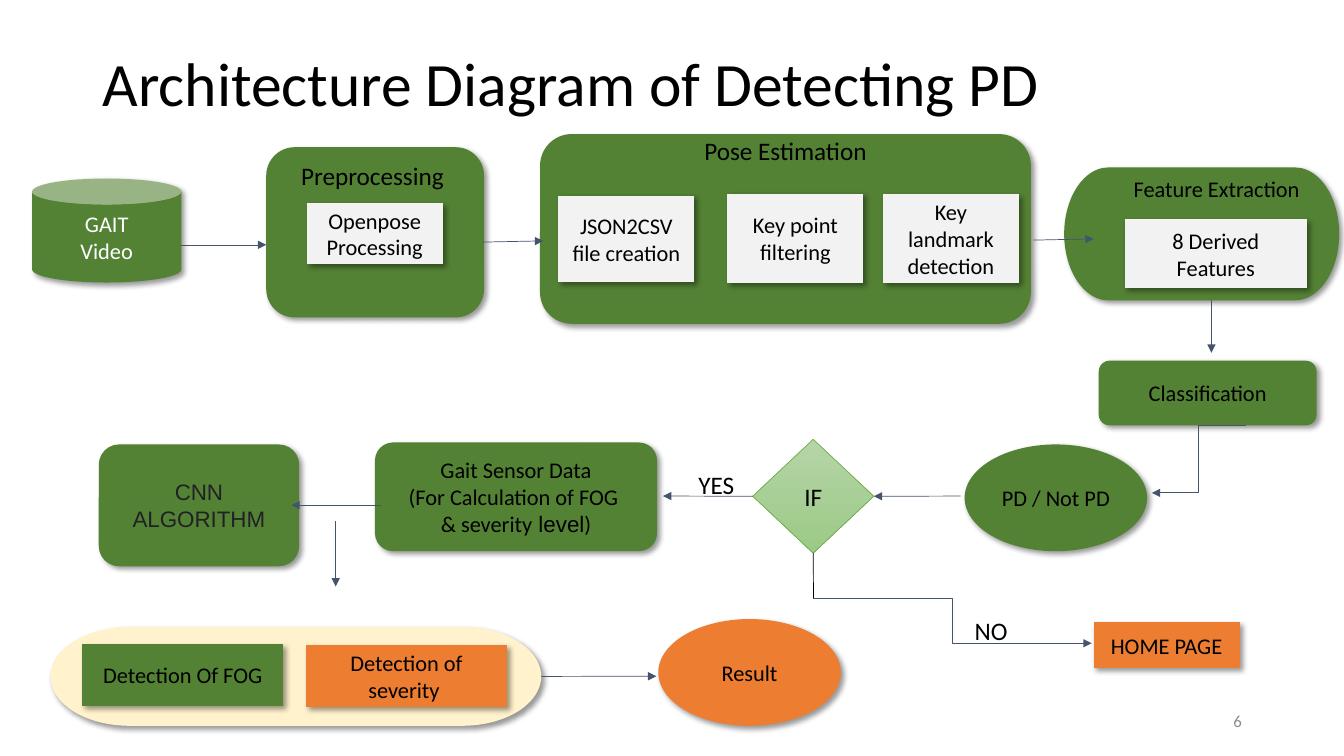
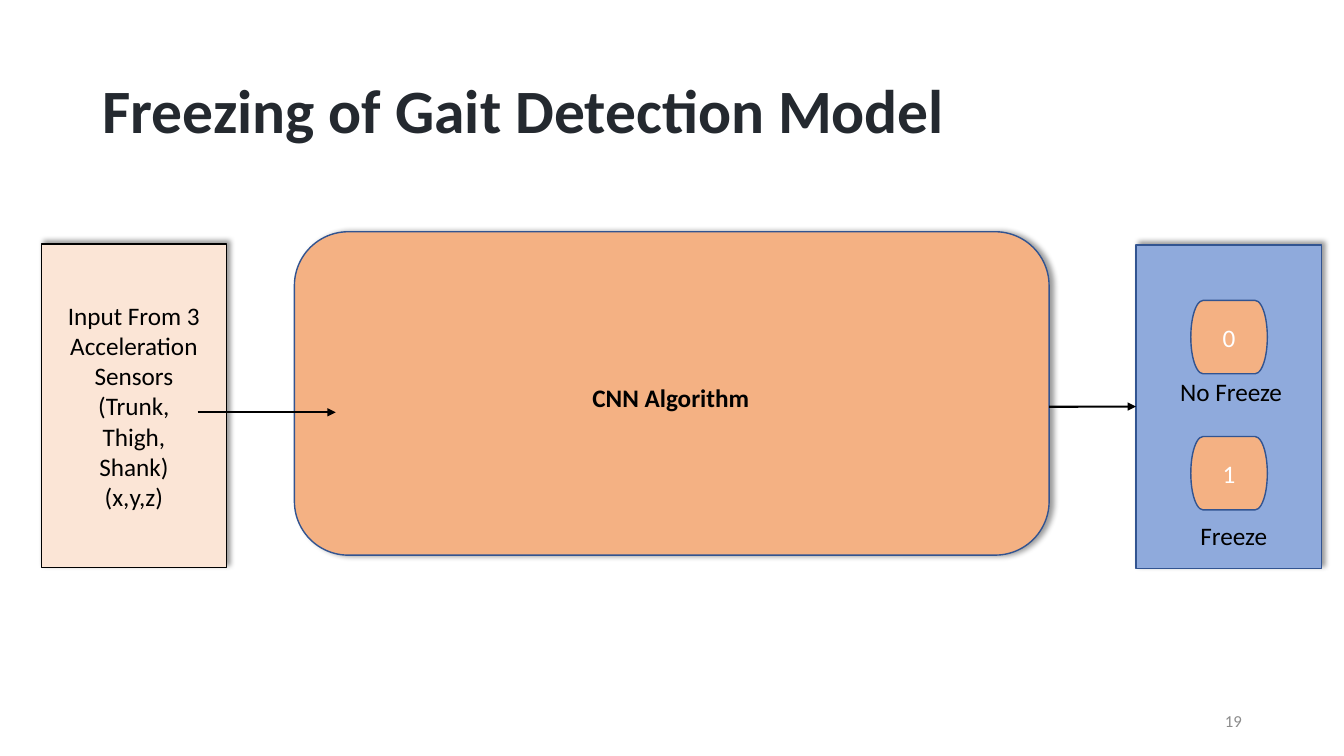
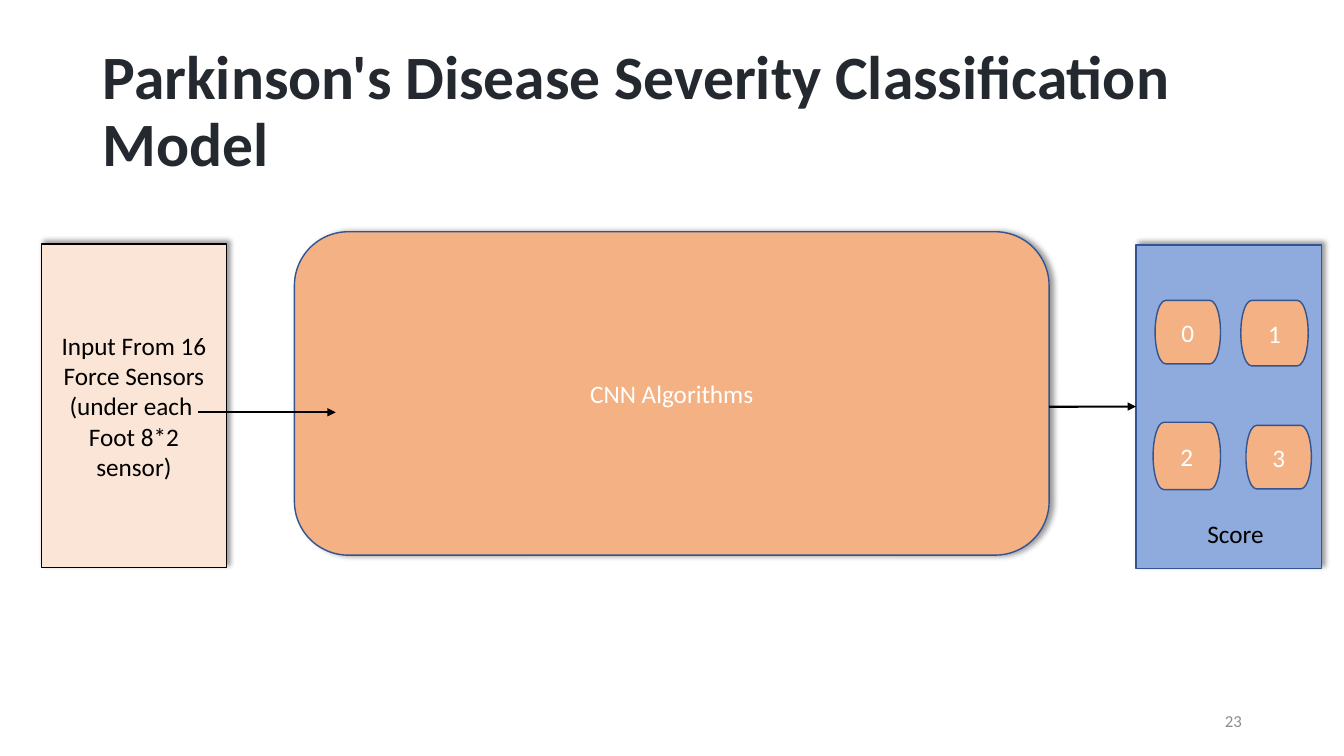
from lxml.etree import SubElement
from pptx import Presentation
from pptx.dml.color import RGBColor
from pptx.enum.shapes import MSO_CONNECTOR, MSO_SHAPE
from pptx.enum.text import MSO_ANCHOR, MSO_AUTO_SIZE, PP_ALIGN
from pptx.oxml.ns import qn
from pptx.util import Cm, Pt

COLORS = {
    "black": "000000", "white": "FFFFFF", "heading": "24292F", "number": "8C8C8C",
    "green": "548235", "card": "F2F2F2", "orange": "ED7D31", "cream": "FFF2CC",
    "arrow": "44546A", "cnn": "202124", "decision": "70AD47",
    "decision_top": "B5D5A7", "decision_bottom": "9CC987",
    "peach": "FBE5D6", "apricot": "F4B183", "blue": "8FAADC", "navy": "325491",
}
BODY = {"name": "Calibri", "size": Pt(16), "bold": False}
LARGE = {**BODY, "size": Pt(18)}
STRONG = {**LARGE, "bold": True}
ARIAL = {**BODY, "name": "Arial"}
NUMBER = {**BODY, "size": Pt(12)}
TITLE = {**BODY, "size": Pt(44)}
BOLD_TITLE = {**TITLE, "bold": True}
TITLE_PARAGRAPH = {"alignment": PP_ALIGN.LEFT, "line_spacing": 0.9}
TITLE_FRAME = {
    "auto_size": MSO_AUTO_SIZE.NONE, "vertical_anchor": MSO_ANCHOR.MIDDLE, "word_wrap": True,
}
TITLE_BOX = (2.33, 1.01, 29.21, 3.68)
NUMBER_BOX = (23.93, 17.65, 7.62, 1.02)
LABEL_HEIGHT = 1.02


def color(name):
    return RGBColor.from_string(COLORS[name])


def apply_format(target, values):
    for name, value in values.items():
        setattr(target, name, value)


def inside(box, part):
    return (box[0] + part[0], box[1] + part[1], *part[2:])


def lengths(values):
    return [Cm(value) for value in values]


def format_run(run, font, ink):
    apply_format(run.font, font)
    run.font.color.rgb = color(ink)


def write(shape, text, font, ink, paragraph_format):
    shape.text_frame.text = text
    for paragraph in shape.text_frame.paragraphs:
        apply_format(paragraph, paragraph_format)
        for run in paragraph.runs:
            format_run(run, font, ink)


def add_shadow(shape, angle):
    effects = shape.element.spPr.find(qn("a:effectLst"))
    shadow = SubElement(effects, qn("a:outerShdw"), blurRad=str(Pt(4)), dist=str(Pt(3)),
                        dir=str(angle * 60000), algn="ctr", rotWithShape="0")
    black = SubElement(shadow, qn("a:srgbClr"), val=COLORS["black"])
    SubElement(black, qn("a:alpha"), val="40000")


def add_block(slide, kind, box, fill, text="", font=BODY, ink="black", line=None,
              line_width=1, shadow=45):
    shape = slide.shapes.add_shape(kind, *lengths(box))
    shape.shadow.inherit = False
    shape.fill.solid()
    shape.fill.fore_color.rgb = color(fill)
    if line:
        shape.line.color.rgb = color(line)
        shape.line.width = Pt(line_width)
    else:
        shape.line.fill.background()
    if shadow is not None:
        add_shadow(shape, shadow)
    if text:
        write(shape, text, font, ink, {"alignment": PP_ALIGN.CENTER})
    return shape


def add_label(slide, box, text, font=LARGE, ink="black", align=PP_ALIGN.LEFT):
    label = slide.shapes.add_textbox(*lengths(box))
    label.text_frame.word_wrap = True
    write(label, text, font, ink, {"alignment": align})
    return label


def add_line(slide, points, ink="arrow", width=0.5, kind=MSO_CONNECTOR.STRAIGHT,
             arrow=True, begin=None, end=None):
    connector = slide.shapes.add_connector(kind, *lengths(points))
    if begin:
        connector.begin_connect(*begin)
    if end:
        connector.end_connect(*end)
    connector.line.color.rgb = color(ink)
    connector.line.width = Pt(width)
    if arrow:
        SubElement(connector.line._get_or_add_ln(), qn("a:tailEnd"), type="triangle")
    SubElement(connector.element.spPr, qn("a:effectLst"))


def add_slide(presentation, title, number, font=BOLD_TITLE, ink="heading", top=TITLE_BOX[1]):
    slide = presentation.slides.add_slide(presentation.slide_layouts[5])
    heading = slide.shapes.title
    box = (TITLE_BOX[0], top, *TITLE_BOX[2:])
    apply_format(heading, dict(zip(("left", "top", "width", "height"), lengths(box))))
    apply_format(heading.text_frame, TITLE_FRAME)
    write(heading, title, font, ink, TITLE_PARAGRAPH)
    footer = add_label(slide, NUMBER_BOX, number, NUMBER, "number", PP_ALIGN.RIGHT)
    footer.text_frame.vertical_anchor = MSO_ANCHOR.MIDDLE
    return slide


def add_stage(slide, kind, box, cards, fill="green", caption=None):
    stage = add_block(slide, kind, box, fill)
    if caption:
        text, left, top, width, font = caption
        add_label(slide, inside(box, (left, top, width, LABEL_HEIGHT)), text, font)
    for text, card_fill, part in cards:
        add_block(slide, MSO_SHAPE.FLOWCHART_PROCESS, inside(box, part), card_fill, text)
    return stage


def add_decision(slide, box):
    decision = add_block(slide, MSO_SHAPE.FLOWCHART_DECISION, box, "decision", "IF", LARGE,
                         line="decision", line_width=0.5, shadow=None)
    decision.fill.gradient()
    decision.fill.gradient_angle = 270
    for stop, name in zip(decision.fill.gradient_stops, ("decision_top", "decision_bottom")):
        stop.color.rgb = color(name)
    return decision


def add_sensor_data(slide, box):
    sensor = add_block(slide, MSO_SHAPE.ROUNDED_RECTANGLE, box, "green",
                       "Gait Sensor Data\n(For Calculation of FOG \n& severity")
    for text, font in ((" level", ARIAL), (")", BODY)):
        run = sensor.text_frame.paragraphs[-1].add_run()
        run.text = text
        format_run(run, font, "black")


def add_preparation_row(slide):
    rounded = MSO_SHAPE.ROUNDED_RECTANGLE
    add_block(slide, MSO_SHAPE.CAN, (0.81, 4.5, 3.76, 2.62), "green", "GAIT\nVideo", ink="white")
    add_stage(slide, rounded, (6.71, 3.71, 5.49, 4.29),
              [("Openpose\nProcessing", "card", (1.02, 1.4, 3.43, 1.55))],
              caption=("Preprocessing", 0.63, 0.2, 4.22, LARGE))
    add_stage(slide, rounded, (13.61, 3.38, 12.37, 4.78),
              [("JSON2CSV file creation", "card", (0.46, 1.55, 3.43, 2.18)),
               ("Key point filtering", "card", (4.72, 1.5, 3.43, 2.24)),
               ("Key landmark detection", "card", (8.64, 1.52, 3.43, 2.24))],
              caption=("Pose Estimation", 3.89, -0.1, 4.8, LARGE))
    add_stage(slide, MSO_SHAPE.FLOWCHART_TERMINATOR, (26.82, 4.22, 6.93, 3.35),
              [("8 Derived\nFeatures", "card", (1.52, 1.3, 4.6, 1.75))],
              caption=("Feature Extraction", 1.5, 0.08, 4.9, BODY))
    for points in ((4.55, 6.17, 6.71, 6.17), (12.17, 6.1, 13.69, 6.07),
                   (26.04, 6.05, 27.56, 6.02), (30.53, 7.57, 30.53, 8.89)):
        add_line(slide, points)


def add_decision_row(slide):
    rounded = MSO_SHAPE.ROUNDED_RECTANGLE
    add_block(slide, rounded, (27.69, 9.09, 5.49, 1.63), "green", "Classification")
    add_block(slide, MSO_SHAPE.OVAL, (24.31, 11.2, 4.6, 2.69), "green", "PD / Not PD")
    decision = add_decision(slide, (18.97, 11.07, 3.05, 2.87))
    add_sensor_data(slide, (9.45, 11.15, 7.11, 2.74))
    add_block(slide, rounded, (2.49, 11.2, 5.05, 3.07), "green", "CNN\nALGORITHM", ARIAL, "cnn")
    add_label(slide, (17.35, 11.71, 1.8, LABEL_HEIGHT), "YES")
    add_line(slide, (31.39, 10.72, 29.03, 12.42), kind=MSO_CONNECTOR.ELBOW)
    add_line(slide, (24.21, 12.5, 22.02, 12.5), end=(decision, 3))
    add_line(slide, (18.97, 12.5, 16.71, 12.5), begin=(decision, 1))
    add_line(slide, (9.6, 12.73, 7.34, 12.73))
    add_line(slide, (8.46, 13.13, 8.46, 14.78))
    add_line(slide, (20.5, 13.94, 20.5, 15.09), "black", arrow=False, begin=(decision, 2))


def add_outcome_row(slide):
    detection = add_stage(slide, MSO_SHAPE.FLOWCHART_TERMINATOR, (1.27, 15.8, 12.37, 2.49),
                          [("Detection Of FOG", "green", (0.81, 0.43, 5.05, 1.55)),
                           ("Detection of severity ", "orange", (6.45, 0.46, 5.05, 1.55))],
                          "cream")
    add_block(slide, MSO_SHAPE.OVAL, (16.59, 15.6, 4.6, 2.69), "orange", "Result")
    add_block(slide, MSO_SHAPE.FLOWCHART_PROCESS, (27.56, 15.67, 3.68, 1.17), "orange",
              "HOME PAGE")
    add_label(slide, (24.31, 15.37, 1.8, LABEL_HEIGHT), "NO")
    add_line(slide, (13.64, 17.04, 16.54, 17.04), begin=(detection, 3))
    add_line(slide, (20.5, 15.09, 27.51, 16.21), kind=MSO_CONNECTOR.ELBOW)


def add_output(slide, box, scores, labels):
    output = add_block(slide, MSO_SHAPE.RECTANGLE, box, "blue", line="navy", shadow=315)
    for number, part in enumerate(scores):
        add_block(slide, MSO_SHAPE.FLOWCHART_TERMINATOR, inside(box, part), "apricot",
                  str(number), LARGE, "white", "navy", shadow=None)
    for text, left, top in labels:
        add_label(slide, inside(box, (left, top, 3.4, LABEL_HEIGHT)), text)
    return output


def add_network(slide, box, text="", label=""):
    add_block(slide, MSO_SHAPE.ROUNDED_RECTANGLE, box, "apricot", text, LARGE, "white",
              "navy", shadow=0)
    if label:
        add_label(slide, inside(box, (7.26, 3.68, 4.5, LABEL_HEIGHT)), label, STRONG)


def add_model(slide, source, network, scores, labels):
    add_block(slide, MSO_SHAPE.RECTANGLE, (1.04, 6.15, 4.67, 8.15), "peach", source, LARGE,
              line="black", shadow=315)
    output = add_output(slide, (28.63, 6.17, 4.67, 8.15), scores, labels)
    add_network(slide, (7.42, 5.84, 19.02, 8.15), **network)
    add_line(slide, (4.98, 10.39, 8.46, 10.39), "black", 1.5)
    add_line(slide, (26.44, 10.25, 28.63, 10.25), "black", 1.5, end=(output, 1))


def main():
    presentation = Presentation()
    presentation.slide_width = Cm(33.87)
    presentation.slide_height = Cm(19.05)

    architecture = add_slide(presentation, "Architecture Diagram of Detecting PD", "6",
                             TITLE, "black", 0.33)
    add_preparation_row(architecture)
    add_decision_row(architecture)
    add_outcome_row(architecture)

    freezing = add_slide(presentation, "Freezing of Gait Detection Model", "19")
    add_model(freezing,
              "Input From 3\nAcceleration Sensors\n(Trunk,\nThigh,\nShank)\n(x,y,z)",
              {"label": "CNN Algorithm"},
              [(1.38, top, 1.93, 1.85) for top in (1.4, 4.83)],
              [("No Freeze", 0.86, 3.18), ("Freeze", 1.37, 6.81)])

    severity = add_slide(presentation, "Parkinson's Disease Severity Classification Model", "23")
    add_model(severity,
              "Input From 16\nForce Sensors\n(under each \nFoot 8*2 sensor)",
              {"text": "CNN Algorithms"},
              [(0.48, 1.4, 1.65, 1.6), (2.64, 1.4, 1.7, 1.65),
               (0.43, 4.47, 1.7, 1.7), (2.77, 4.55, 1.65, 1.6)],
              [("Score", 1.55, 6.76)])

    presentation.save("out.pptx")


if __name__ == "__main__":
    main()
